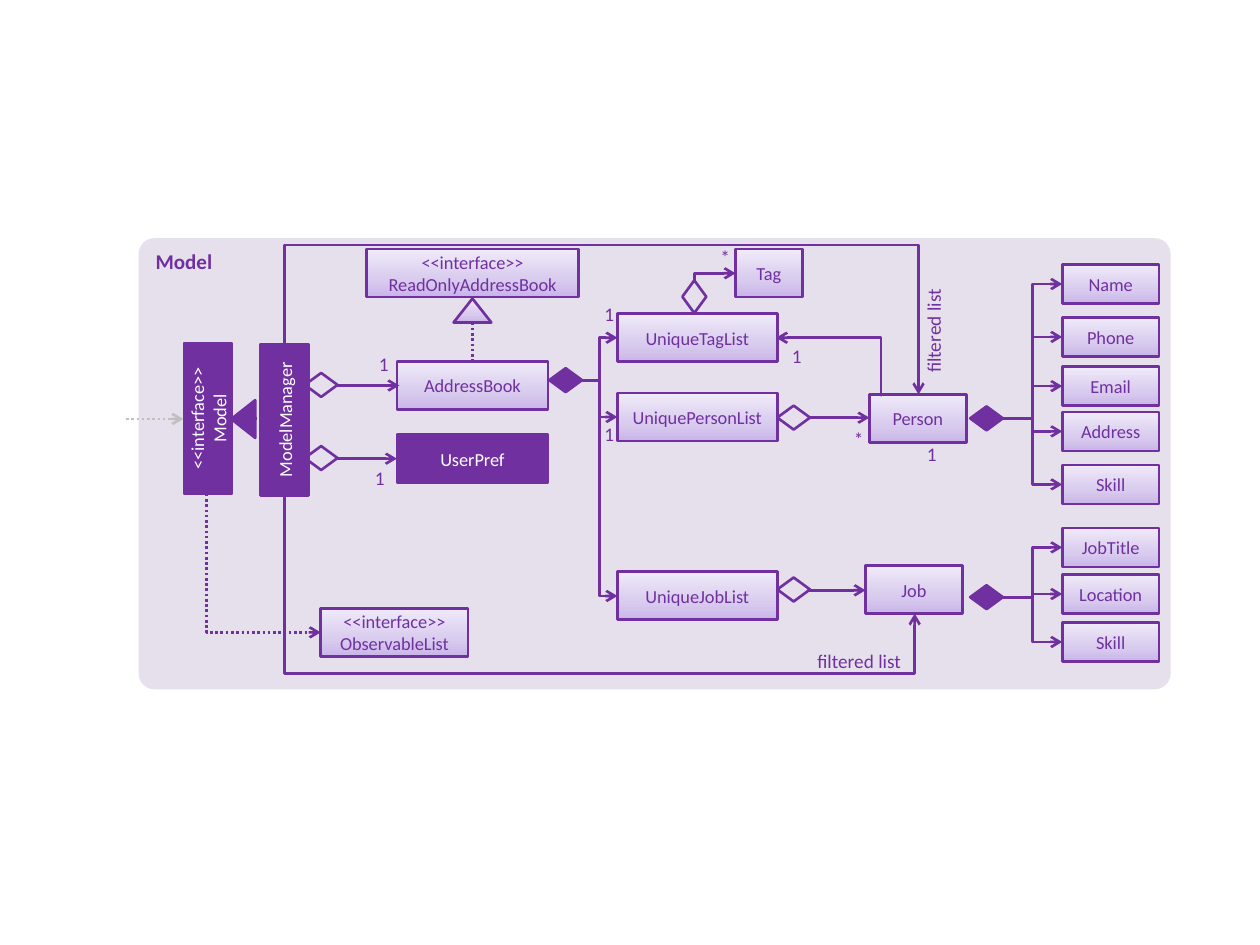
"""Draw the class diagram of the Model component."""
from copy import deepcopy
from lxml.etree import SubElement
from pptx import Presentation
from pptx.dml.color import RGBColor as Rgb
from pptx.enum.dml import MSO_LINE as Dash
from pptx.enum.shapes import MSO_CONNECTOR as Line, MSO_SHAPE as Kind
from pptx.enum.text import MSO_ANCHOR as Anchor, PP_ALIGN as Align
from pptx.oxml.ns import qn
from pptx.util import Pt

HUE = {"main": "7030A0", "panel": "E6E0EC", "text": "FFFFFF", "gray": "BFBFBF",
       "low": "C9B5E8", "mid": "D8CBEE", "high": "F0EAF9"}
TONE = {name: Rgb.from_string(code) for name, code in HUE.items()}
TALL, SMALL = 27.4, 22.3
BENT, HOOK = "bentConnector3", "bentConnector2"

deck = Presentation()
deck.slide_width, deck.slide_height = Pt(720), Pt(540)
shapes = deck.slides.add_slide(deck.slide_layouts[6]).shapes


def node(kind, x, y, wide, high, fill="fade", text="", rot=0):
    shape = shapes.add_shape(kind, Pt(x), Pt(y), Pt(wide), Pt(high))
    shape.shadow.inherit = False
    shape.rotation = rot
    shape.line.color.rgb = TONE["main"]
    shape.line.width = Pt(1.5)
    if fill == "fade":
        shape.fill.gradient()
        shape.fill.gradient_angle = 90
        stops = shape._element.spPr.find(".//" + qn("a:gsLst"))
        stops.insert(1, deepcopy(stops[0]))
        for stop, name, spot in zip(shape.fill.gradient_stops, ("low", "mid", "high"), (0, 0.35, 1)):
            stop.color.rgb = TONE[name]
            stop.position = spot
    elif fill:
        shape.fill.solid()
        shape.fill.fore_color.rgb = TONE[fill]
    else:
        shape.fill.background()
    if text:
        shape.text_frame.text = text
        shape.text_frame.vertical_anchor = Anchor.MIDDLE
        for par in shape.text_frame.paragraphs:
            par.alignment = Align.CENTER
            par.font.name, par.font.size = "Calibri", Pt(10.5)
            par.font.color.rgb = TONE["text" if fill == "main" else "main"]
    return shape


def link(x1, y1, x2, y2, geom="line", rot=0, bend=0.5, dots=False, head=True, tone="main"):
    mx, my = (x1 + x2) / 2, (y1 + y2) / 2
    dx, dy = x1 - mx, y1 - my
    dx, dy = {0: (dx, dy), 90: (dy, -dx), 180: (-dx, -dy), 270: (-dy, dx)}[rot]
    wire = shapes.add_connector(Line.STRAIGHT, Pt(mx + dx), Pt(my + dy), Pt(mx - dx), Pt(my - dy))
    wire.line.color.rgb = TONE[tone]
    wire.line.width = Pt(1.5)
    if dots:
        wire.line.dash_style = Dash.ROUND_DOT
    props = wire._element.spPr
    props.find(qn("a:xfrm")).set("rot", str(rot * 60000))
    shape = props.find(qn("a:prstGeom"))
    shape.set("prst", geom)
    if geom == BENT:
        SubElement(shape.find(qn("a:avLst")), qn("a:gd"), name="adj1", fmla=f"val {round(bend * 100000)}")
    if head:
        SubElement(props.find(qn("a:ln")), qn("a:tailEnd"), type="arrow")
    SubElement(props, qn("a:effectLst"))


panel = node(Kind.ROUNDED_RECTANGLE, 79.2, 136.1, 589.7, 257.8, "panel", "Model")
panel.adjustments[0] = 0.035
panel.line.fill.background()
panel.text_frame.vertical_anchor = Anchor.TOP
title = panel.text_frame.paragraphs[0]
title.alignment = Align.LEFT
title.font.size, title.font.bold = Pt(12), True

for x, y, wide, fill, text, rot in (
        (226.8, 248.4, 86.4, "main", "UserPref", 0),
        (119.5, 226.1, 86.4, "main", "ModelManager", 270),
        (75.6, 225.4, 86.4, "main", "<<interface>>\nModel", 270),
        (226.8, 206.6, 86.4, "fade", "AddressBook", 0),
        (209.5, 142.3, 121.2, "fade", "<<interface>>\vReadOnlyAddressBook", 0),
        (183.3, 347.6, 84.3, "fade", "<<interface>>\vObservableList", 0),
        (352.8, 179.3, 91.4, "fade", "UniqueTagList", 0),
        (352.8, 224.6, 91.4, "fade", "UniquePersonList", 0),
        (352.8, 326.7, 91.4, "fade", "UniqueJobList", 0),
        (420.3, 142.3, 38.2, "fade", "Tag", 0),
        (496.8, 225.4, 55.4, "fade", "Person", 0),
        (494.6, 323.3, 55.4, "fade", "Job", 0)):
    node(Kind.RECTANGLE, x, y, wide, TALL, fill, text, rot)

node(Kind.ISOSCELES_TRIANGLE, 128.2, 232.6, 21.6, 13.7, "main", rot=270)
node(Kind.ISOSCELES_TRIANGLE, 259.2, 170.6, 21.6, 13.7)

for x, y, fill, rot in (
        (174.2, 254.9, None, 0), (174.2, 213.1, None, 0), (313.9, 210.4, "main", 0),
        (444.2, 231.8, None, 0), (444.2, 330, None, 0), (387.4, 162.7, None, 270),
        (554.4, 232.2, "main", 0), (554.4, 334.4, "main", 0)):
    node(Kind.FLOWCHART_DECISION, x, y, 18.7, 13.7, fill, rot=rot)

for hub, parts in (
        (239, (("Name", 151.2), ("Phone", 181.4), ("Email", 209.5), ("Address", 235.4), ("Skill", 265.7))),
        (341.3, (("JobTitle", 301.7), ("Location", 328.3), ("Skill", 355.7)))):
    for text, top in parts:
        node(Kind.RECTANGLE, 607, top, 55.4, SMALL, text=text)
        link(573.1, hub, 607, top + SMALL / 2, BENT)

for y in (193, 238.3, 340.6):
    link(332.6, 217.4, 352.8, y, BENT)

link(162.7, 196.6, 524.9, 225.4, BENT, 270, -1.963)
link(162.7, 282.2, 522.7, 350.6, BENT, 270, 1.503)
link(503.3, 226.1, 443.5, 193, BENT, 180, -0.004)
link(396.7, 160.6, 420.3, 156.2, HOOK, 90)
link(118.1, 282.2, 183.3, 361.4, HOOK, 270, dots=True)
link(270, 184.3, 270, 207.4, dots=True, head=False)
link(145.4, 239, 162.7, 239, dots=True, head=False)
link(72, 239.4, 104.8, 239.4, dots=True, tone="gray")
link(192.2, 262.1, 226.8, 262.1)
link(192.2, 220.3, 228.2, 220.3)
link(463, 238.7, 496.8, 238.7)
link(462.2, 337.3, 494.6, 337.3)

ONE, MANY, LIST = "1", "*", "filtered list"
for text, x, y, rot in (
        (ONE, 340.6, 172.8, 0), (ONE, 340.6, 241.2, 0), (ONE, 447.8, 196.6, 0),
        (MANY, 406.8, 140.4, 0), (MANY, 483.1, 244.1, 0), (ONE, 211.7, 201.6, 0),
        (ONE, 209.5, 266.4, 0), (ONE, 524.9, 252.7, 0),
        (LIST, 499, 182.2, 270), (LIST, 452.9, 367.2, 0)):
    wide, high = (69.1, 20.9) if text == LIST else (15.1, 14.4)
    label = shapes.add_textbox(Pt(x), Pt(y), Pt(wide), Pt(high))
    label.rotation = rot
    frame = label.text_frame
    frame.word_wrap = True
    if text != LIST:
        frame.margin_left = frame.margin_right = frame.margin_top = frame.margin_bottom = 0
    frame.text = text
    par = frame.paragraphs[0]
    par.alignment = Align.RIGHT if text == LIST else Align.CENTER
    par.font.name, par.font.size = "Calibri", Pt(11)
    par.font.color.rgb = TONE["main"]

deck.save("out.pptx")
